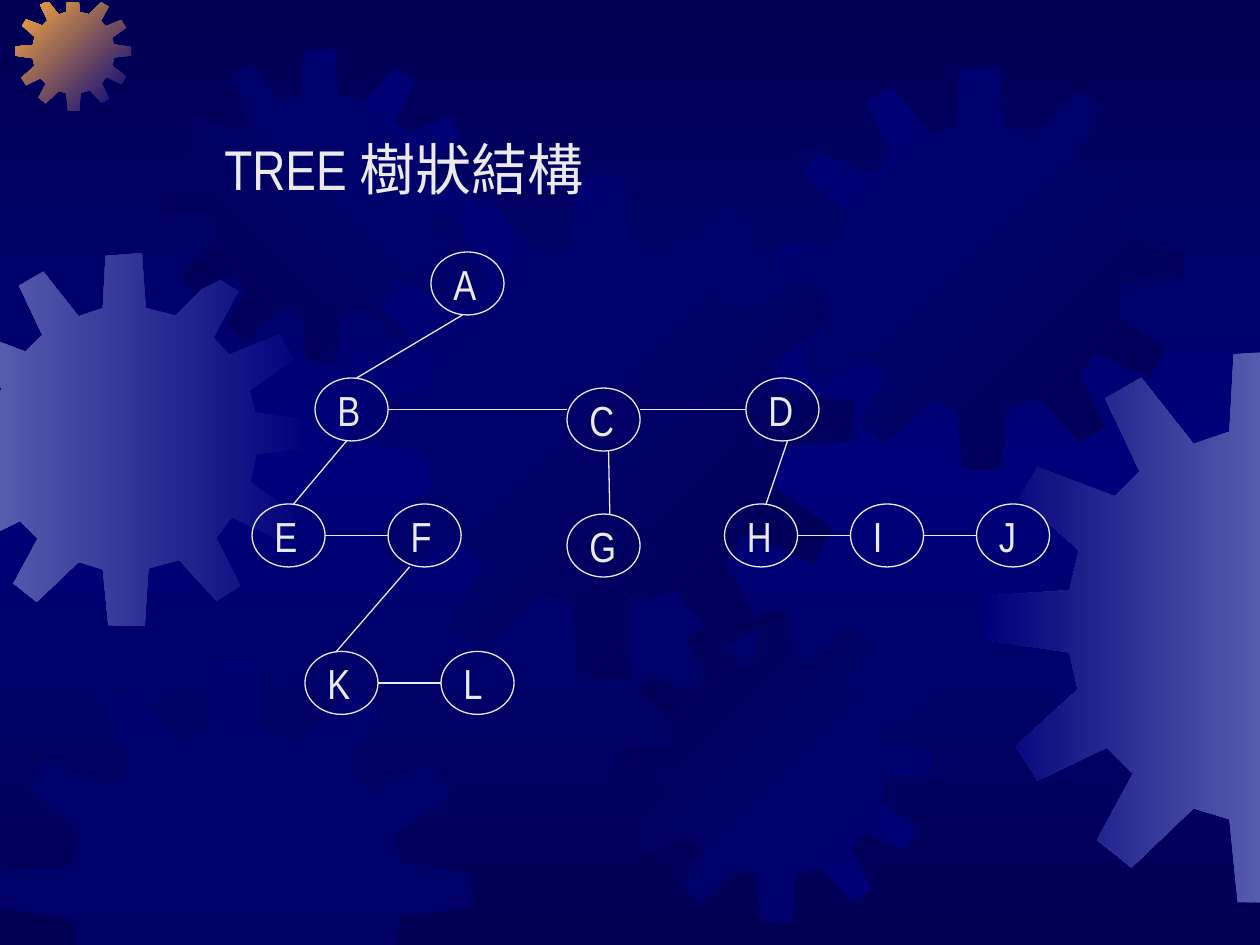
from copy import deepcopy

from lxml import etree
from pptx import Presentation
from pptx.dml.color import RGBColor
from pptx.enum.shapes import MSO_CONNECTOR, MSO_SHAPE
from pptx.enum.text import MSO_ANCHOR, MSO_AUTO_SIZE, PP_ALIGN
from pptx.oxml.ns import qn
from pptx.util import Inches, Pt

STRAIGHT = MSO_CONNECTOR.STRAIGHT
OVAL = MSO_SHAPE.OVAL
TOP = MSO_ANCHOR.TOP
LEFT = PP_ALIGN.LEFT
FIT_SHAPE = MSO_AUTO_SIZE.SHAPE_TO_FIT_TEXT

NAVY, BLUE, LILAC, ORANGE, WHITE = "000054", "00007A", "555BAD", "FCAB40", "EAEAEA"
NODE_WIDTH, NODE_HEIGHT = 0.58, 0.5

GEAR_SPAN = 401
GEAR_OUTLINE = [
    (255, 67), (223, 59), (219, 0), (180, 3), (177, 59), (151, 68),
    (113, 20), (87, 35), (112, 88), (94, 106), (38, 85), (25, 107),
    (68, 145), (61, 174), (1, 178), (0, 210), (61, 219), (67, 246),
    (22, 287), (38, 312), (88, 288), (107, 307), (81, 355), (106, 375),
    (151, 332), (177, 340), (183, 400), (222, 401), (226, 339), (259, 330),
    (299, 374), (325, 358), (299, 306), (316, 284), (368, 309), (384, 281),
    (336, 246), (342, 216), (401, 210), (400, 180), (341, 171), (335, 148),
    (383, 114), (367, 87), (313, 109), (296, 91), (323, 41), (297, 25),
]
PAGE_EDGES = [(0, 0, 1), (0, 10, -1), (1, 0.02, 1), (1, 7.5, -1)]

GEARS = [
    (-0.49, 2.01, 2.96, (BLUE, LILAC), 180),
    (0.12, -0.04, 0.92, (BLUE, ORANGE), 225),
    (1.3, 0.39, 2.48, (BLUE, NAVY), 135),
    (2.77, 1.39, 4.01, (NAVY, BLUE), 225),
    (0, 5.25, 3.74, (BLUE,), 0),
    (4.91, 4.84, 2.48, (BLUE, NAVY), 225),
    (6.18, 0.53, 3.2, (NAVY, BLUE), 225),
    (7.82, 2.78, 4.39, (LILAC, BLUE), 180),
]
NODES = {
    "A": (3.42, 2), "B": (2.5, 3), "C": (4.5, 3.08), "D": (5.92, 3),
    "E": (2, 4), "F": (3.08, 4), "G": (4.5, 4.08), "H": (5.75, 4),
    "I": (6.75, 4), "J": (7.75, 4), "K": (2.42, 5.17), "L": (3.5, 5.17),
}
CHILD_LINES = [
    (3.67, 2.5, 2.83, 3), (4.83, 3.58, 4.84, 4.08), (2.75, 3.5, 2.33, 4),
    (3.25, 4.5, 2.67, 5.17), (6.25, 3.5, 6.08, 4),
]
SIBLINGS = ["BC", "CD", "EF", "HI", "IJ", "KL"]


def color(value):
    return RGBColor.from_string(value)


def clip(points, axis, limit, side):
    kept = []
    for start, end in zip(points[-1:] + points[:-1], points):
        start_gap = (start[axis] - limit) * side
        end_gap = (end[axis] - limit) * side
        if start_gap * end_gap < 0:
            part = start_gap / (start_gap - end_gap)
            kept.append(tuple(a + (b - a) * part for a, b in zip(start, end)))
        if end_gap >= 0:
            kept.append(end)
    return kept


class TreeSlide:
    """Draws the gears, title, nodes and lines of a tree slide in one style."""

    def __init__(self, deck):
        self.font = "Arial Narrow"
        self.page = deck.slides.add_slide(deck.slide_layouts[5])
        self.shapes = self.page.shapes
        self.gradient(self.page.background.fill, self.page.element, (NAVY, BLUE, NAVY), 90)

    def gradient(self, fill, element, colors, angle):
        fill.gradient()
        fill.gradient_angle = (360 - angle) % 360
        stop_list = element.find(".//" + qn("a:gsLst"))
        while len(stop_list) < len(colors):
            stop_list.append(deepcopy(stop_list[-1]))
        for index, (stop, value) in enumerate(zip(fill.gradient_stops, colors)):
            stop.color.rgb = color(value)
            stop.position = index / (len(colors) - 1)

    def gear(self, left, top, size, colors, angle):
        scale = size / GEAR_SPAN
        points = [(left + x * scale, top + y * scale) for x, y in GEAR_OUTLINE]
        for edge in PAGE_EDGES:
            points = clip(points, *edge)
        corners = [(Inches(x), Inches(y)) for x, y in points]
        builder = self.shapes.build_freeform(*corners[0])
        builder.add_line_segments(corners[1:], close=True)
        shape = builder.convert_to_shape()
        shape.shadow.inherit = False
        shape.line.fill.background()
        if len(colors) > 1:
            self.gradient(shape.fill, shape.element, colors, angle)
        else:
            shape.fill.solid()
            shape.fill.fore_color.rgb = color(colors[0])
            tint = shape.element.spPr.find(".//" + qn("a:srgbClr"))
            etree.SubElement(tint, qn("a:alpha"), val="50000")

    def set_text(self, box, text, size, wrap):
        frame = box.text_frame
        frame.text = text
        frame.word_wrap = wrap
        frame.auto_size = FIT_SHAPE
        frame.vertical_anchor = TOP
        para = frame.paragraphs[0]
        para.alignment = LEFT
        span = para.runs[0]
        span.font.name = self.font
        span.font.size = Pt(size)
        span.font.color.rgb = color(WHITE)

    def title(self, text, left, top, width, height):
        box = self.shapes.title
        box.left, box.top = Inches(left), Inches(top)
        box.width, box.height = Inches(width), Inches(height)
        self.set_text(box, text, 32, False)
        box.element.getparent().append(box.element)

    def outline(self, line):
        line.color.rgb = color(WHITE)
        line.width = Pt(0.75)

    def node(self, name, left, top):
        oval = self.shapes.add_shape(
            OVAL, Inches(left), Inches(top), Inches(NODE_WIDTH), Inches(NODE_HEIGHT))
        oval.shadow.inherit = False
        oval.fill.background()
        self.outline(oval.line)
        label = self.shapes.add_textbox(
            Inches(left + 0.08), Inches(top), Inches(0.38), Inches(NODE_HEIGHT))
        self.set_text(label, name, 24, True)

    def line(self, *ends):
        connector = self.shapes.add_connector(STRAIGHT, *map(Inches, ends))
        self.outline(connector.line)
        etree.SubElement(connector.element.spPr, qn("a:effectLst"))

    def sibling_line(self, first, second):
        (left, top), (right, other_top) = NODES[first], NODES[second]
        middle = min(top, other_top) + NODE_HEIGHT / 2
        self.line(left + NODE_WIDTH, middle, right, middle)


def main():
    deck = Presentation()
    deck.slide_width, deck.slide_height = Inches(10), Inches(7.5)
    slide = TreeSlide(deck)
    for gear in GEARS:
        slide.gear(*gear)
    slide.title("TREE 樹狀結構", 1.68, 1.02, 3.16, 0.64)
    for name, place in NODES.items():
        slide.node(name, *place)
    for ends in CHILD_LINES:
        slide.line(*ends)
    for pair in SIBLINGS:
        slide.sibling_line(*pair)
    deck.save("out.pptx")


if __name__ == "__main__":
    main()
